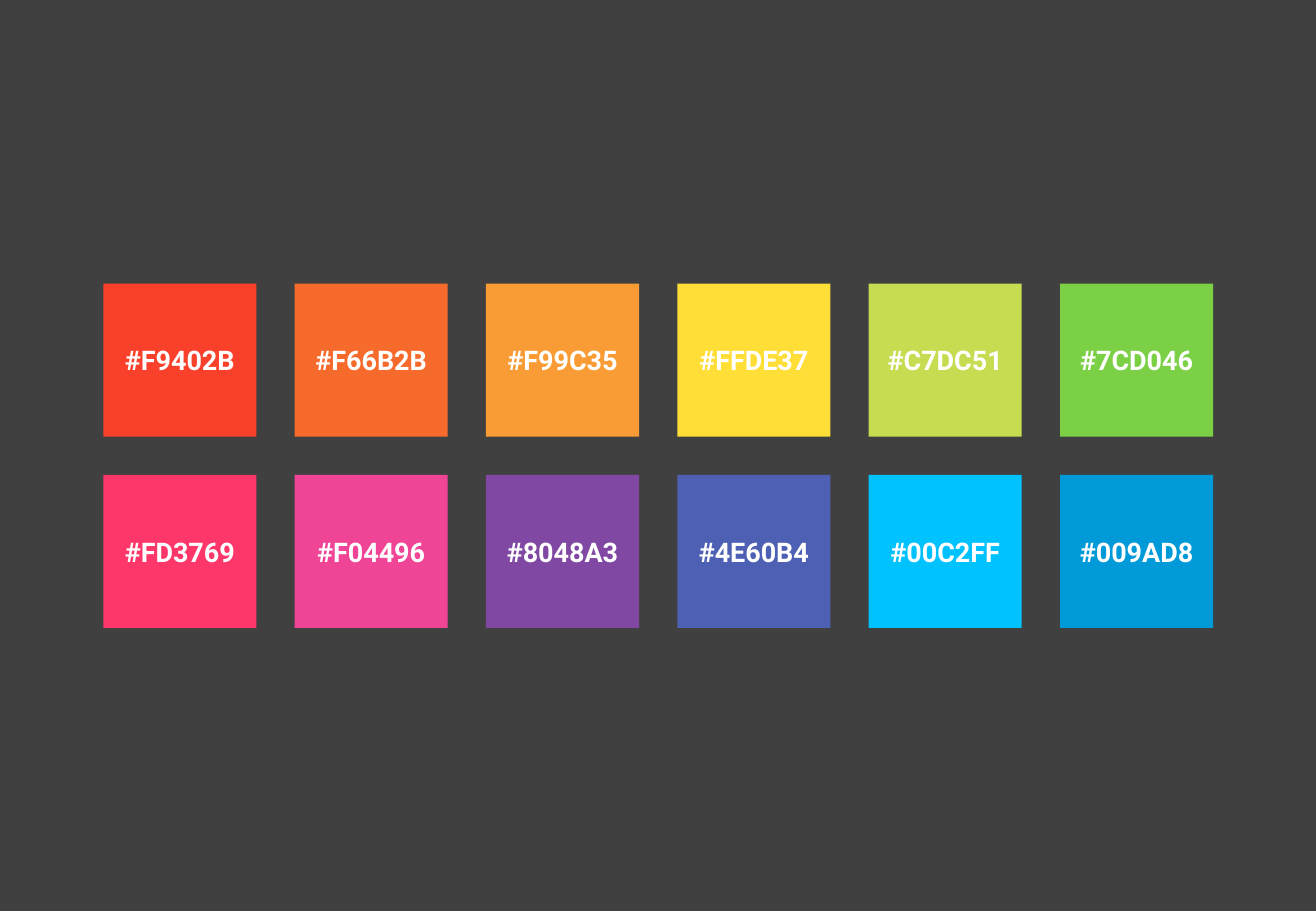
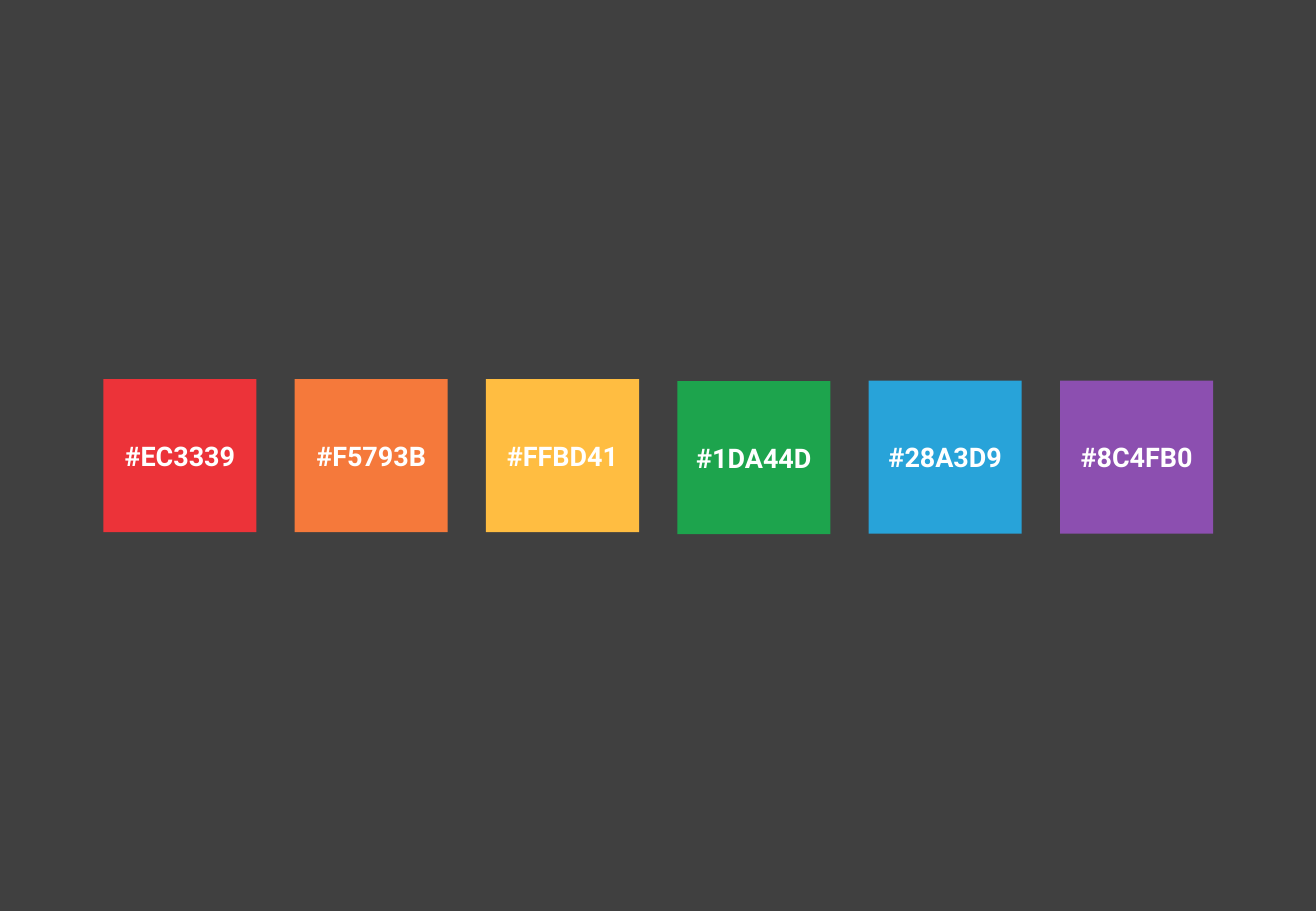
from pptx import Presentation
from pptx import util as u
from pptx.dml.color import RGBColor
from pptx.enum import shapes, text

BASE = {"back": "404040", "label": "FFFFFF"}
WARM = {"red": "F9402B", "orange": "F66B2B", "amber": "F99C35",
        "yellow": "FFDE37", "lime": "C7DC51", "green": "7CD046"}
COOL = {"rose": "FD3769", "pink": "F04496", "purple": "8048A3",
        "blue": "4E60B4", "cyan": "00C2FF", "azure": "009AD8"}
BASIC = {"red": "EC3339", "orange": "F5793B", "yellow": "FFBD41",
         "green": "1DA44D", "blue": "28A3D9", "purple": "8C4FB0"}

LEFT, SIDE, PITCH = 2.16, 3.2, 4


def write(shape, words, size=16, font="Roboto", color=BASE["label"], bold=True):
    frame = shape.text_frame
    frame.word_wrap = True
    frame.vertical_anchor = text.MSO_ANCHOR.MIDDLE
    para = frame.paragraphs[0]
    para.alignment = text.PP_ALIGN.CENTER
    run = para.add_run()
    run.text = words
    run.font.size = u.Pt(size)
    run.font.name = font
    run.font.bold = bold
    run.font.color.rgb = RGBColor.from_string(color)


deck = Presentation()
deck.slide_width, deck.slide_height = u.Cm(27.51), u.Cm(19.05)
back = deck.slide_master.background.fill
back.solid()
back.fore_color.rgb = RGBColor.from_string(BASE["back"])

pages = [
    [(WARM, [5.93] * 6), (COOL, [5.93 + PITCH] * 6)],
    [(BASIC, [7.93] * 3 + [7.97] + [7.96] * 2)],
]

for rows in pages:
    slide = deck.slides.add_slide(deck.slide_layouts[6])
    for hues, tops in rows:
        for col, (hue, top) in enumerate(zip(hues.values(), tops)):
            tile = slide.shapes.add_shape(
                shapes.MSO_SHAPE.RECTANGLE,
                u.Cm(LEFT + col * PITCH), u.Cm(top), u.Cm(SIDE), u.Cm(SIDE))
            tile.shadow.inherit = False
            tile.fill.solid()
            tile.fill.fore_color.rgb = RGBColor.from_string(hue)
            tile.line.fill.background()
            write(tile, "#" + hue)

deck.save("out.pptx")
